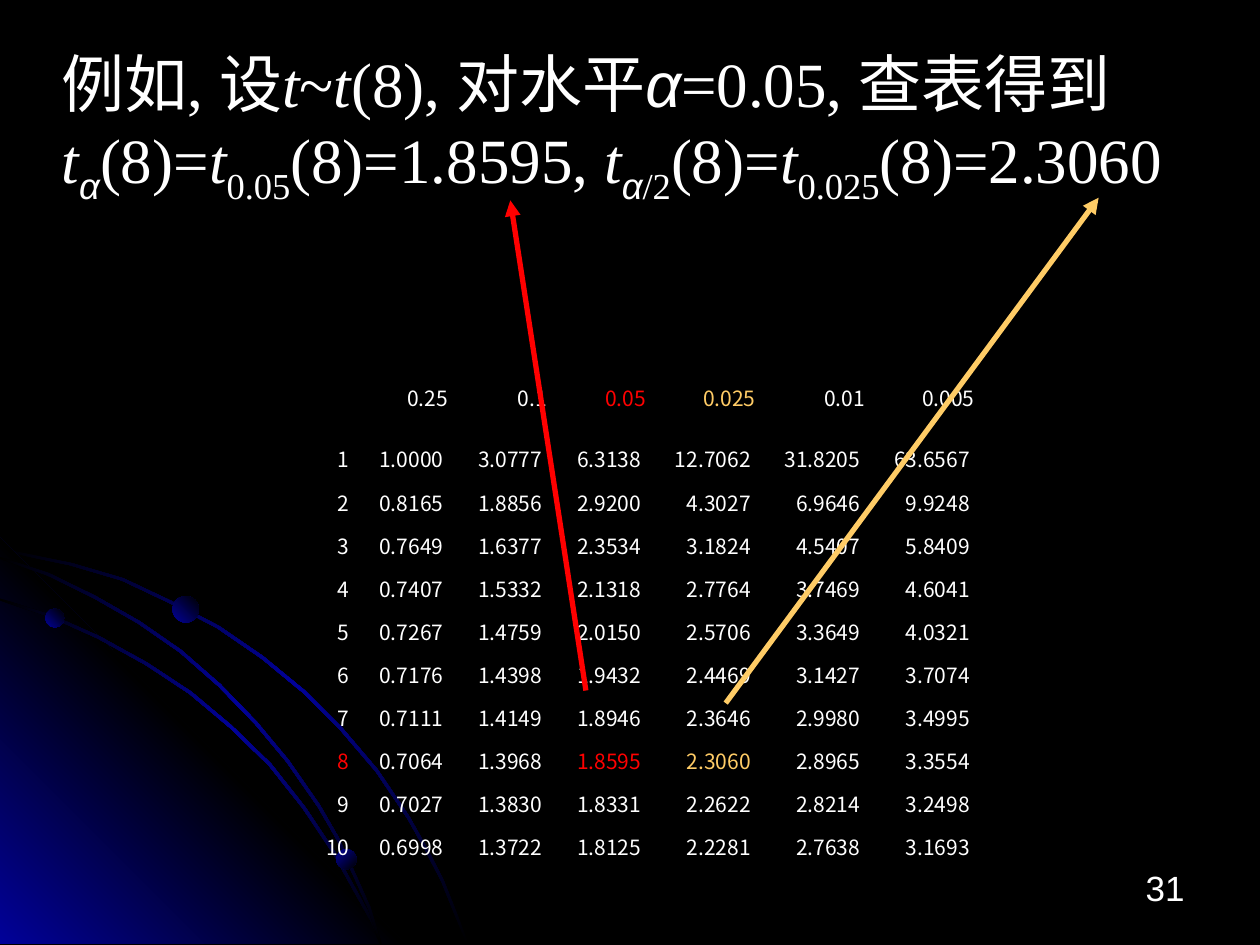
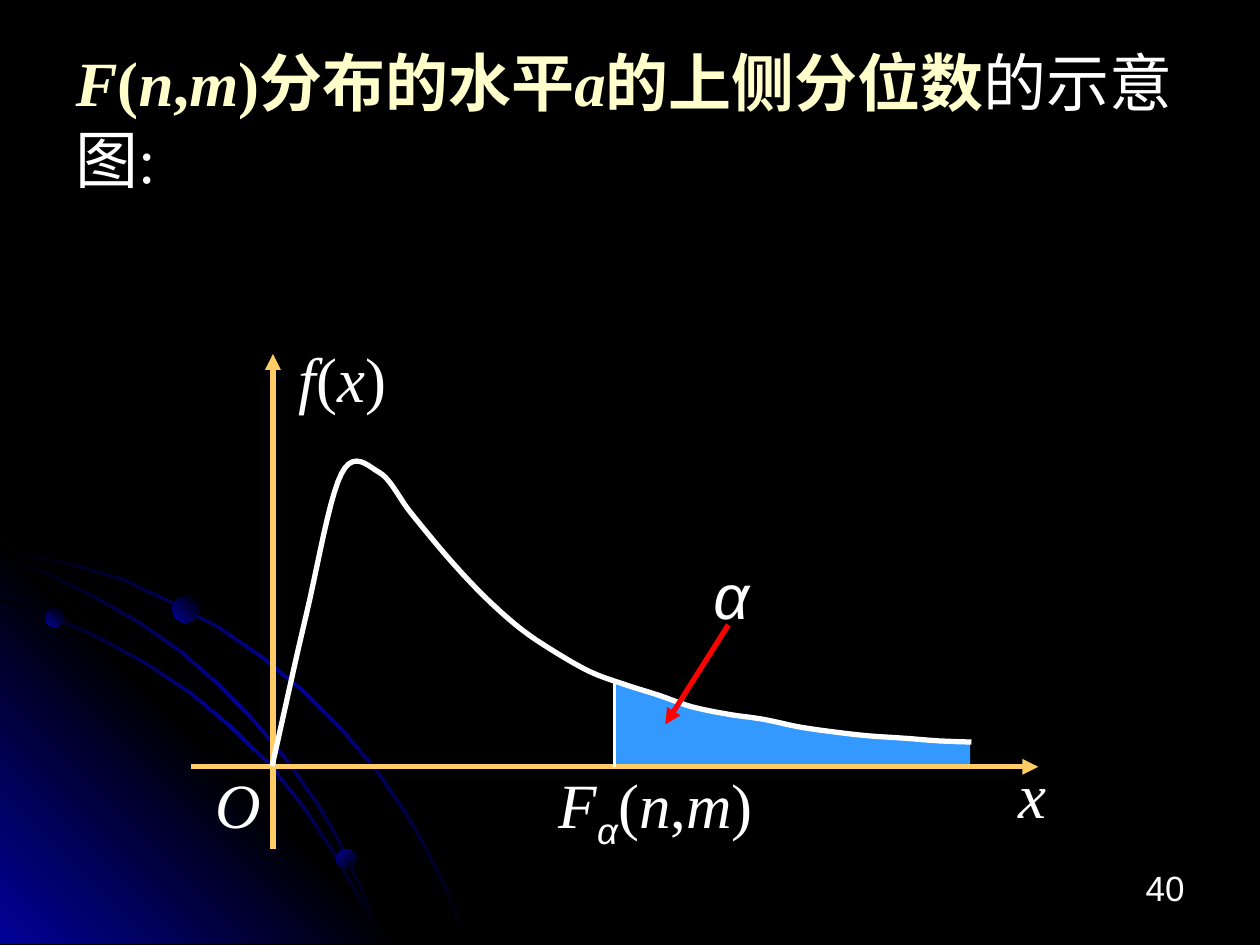
from lxml import etree
from pptx import Presentation
from pptx.dml.color import RGBColor
from pptx.enum.shapes import MSO_CONNECTOR, MSO_SHAPE
from pptx.enum.text import MSO_ANCHOR, PP_ALIGN
from pptx.oxml.ns import qn
from pptx.util import Pt

LEFT, CENTER, RIGHT = PP_ALIGN.LEFT, PP_ALIGN.CENTER, PP_ALIGN.RIGHT
TOP, MIDDLE = MSO_ANCHOR.TOP, MSO_ANCHOR.MIDDLE
STRAIGHT, OVAL = MSO_CONNECTOR.STRAIGHT, MSO_SHAPE.OVAL

SERIF, SANS, HAN = "Times New Roman", "Arial", "Noto Sans CJK SC"
BLACK, WHITE, NAVY, RED = "000000", "FFFFFF", "010199", "FF0000"
GOLD, CREAM, SKY = "FFCC66", "FFFFCC", "3399FF"
NO_STYLE_TABLE = "{2D5ABB26-0587-4C30-8999-92F81FD0307C}"

# Spans are (text, marks): i italic, b bold, s subscript, g Greek in sans, c cream
QUANTILE_TITLE = [
    ("例如, 设", ""), ("t", "i"), ("~", ""), ("t", "i"), ("(8), 对水平", ""),
    ("α", "ig"), ("=0.05, 查表得到", ""), ("\n", ""),
    ("t", "i"), ("α", "igs"), ("(8)=", ""), ("t", "i"), ("0.05", "s"),
    ("(8)=1.8595, ", ""), ("t", "i"), ("α", "igs"), ("/2", "s"), ("(8)=", ""),
    ("t", "i"), ("0.025", "s"), ("(8)=2.3060", ""),
]
DENSITY_TITLE = [
    ("F", "bic"), ("(", "bc"), ("n", "bic"), (",", "bc"), ("m", "bic"),
    (")分布的水平", "bc"), ("a", "bic"), ("的上侧分位数", "bc"), ("的示意图:", ""),
]

# Table of t quantiles
LEVELS = ["0.25", "0.1", "0.05", "0.025", "0.01", "0.005"]
QUANTILES = [
    ["1.0000", "3.0777", "6.3138", "12.7062", "31.8205", "63.6567"],
    ["0.8165", "1.8856", "2.9200", "4.3027", "6.9646", "9.9248"],
    ["0.7649", "1.6377", "2.3534", "3.1824", "4.5407", "5.8409"],
    ["0.7407", "1.5332", "2.1318", "2.7764", "3.7469", "4.6041"],
    ["0.7267", "1.4759", "2.0150", "2.5706", "3.3649", "4.0321"],
    ["0.7176", "1.4398", "1.9432", "2.4469", "3.1427", "3.7074"],
    ["0.7111", "1.4149", "1.8946", "2.3646", "2.9980", "3.4995"],
    ["0.7064", "1.3968", "1.8595", "2.3060", "2.8965", "3.3554"],
    ["0.7027", "1.3830", "1.8331", "2.2622", "2.8214", "3.2498"],
    ["0.6998", "1.3722", "1.8125", "2.2281", "2.7638", "3.1693"],
]
COLUMN_WIDTHS = [54.2] + [56.5] * 3 + [62.6] * 3
HEADER_HEIGHT, ROW_HEIGHT = 45.4, 24.65
MARKED_CELLS = {(0, 3): RED, (8, 0): RED, (8, 3): RED, (0, 4): GOLD, (8, 4): GOLD}

# Density plot: labels are (spans, left, top, width)
LABELS = [
    ([("O", "i")], 99.4, 434.2, 73.4),
    ([("x", "i")], 564.2, 428.4, 51.1),
    ([("f", "i"), ("(", ""), ("x", "i"), (")", "")], 144.7, 190.8, 102.2),
    ([("F", "i"), ("α", "igs"), ("(", ""), ("n", "i"), (",", ""), ("m", "i"),
      (")", "")], 303.4, 434.2, 142.6),
    ([("α", "ig")], 390.2, 314.6, 55.4),
]
DENSITY_POINTS = [
    (155.5, 437.8), (175, 351.4), (195.1, 270.7), (216.7, 270), (234.7, 293),
    (256.3, 319), (276.5, 340.6), (296.6, 358.6), (315.4, 371.5), (337, 383.8),
    (356.4, 391), (376.6, 397.4), (395.3, 403.9), (416.2, 408.2), (436.3, 411.1),
    (456.5, 415.4), (476.6, 418.3), (496.1, 420.5), (517, 421.9), (536.4, 423.4),
    (555.1, 424.1),
]
AXIS_Y, AXIS_X, CUT_X = 438.2, 156, 351.1
TAIL_AREA = [
    (CUT_X, 389.5), (CUT_X, AXIS_Y), (554.4, AXIS_Y), (554.4, 424.8),
    (511.9, 421.9), (465.8, 416.9), (409, 406.8), (370.8, 396.7),
]

# Backdrop: upper edges of the orbits, and dots as (left, top, size, angle)
FLOOR, ORBIT_WIDTH = 539.3, 1.2
OUTER_ORBIT = [
    (0, 313.2), (20.2, 317.5), (41, 321.8), (70.6, 330.5), (97.9, 343.4),
    (125.3, 357.8), (150.5, 375.1), (174.2, 394.6), (195.8, 416.2), (216, 439.9),
    (234, 466.6), (244.1, 484.6), (253.4, 502.6), (260.6, 520.6), (267.8, FLOOR),
]
INNER_ORBIT = [
    (0, 342), (29.5, 351.4), (56.9, 363.6), (84.2, 378.7), (109.4, 395.3),
    (132.5, 414.7), (154.8, 436.3), (174.2, 460.8), (191.5, 486.7),
    (205.9, 512.6), (213.1, 525.6), (218.2, FLOOR),
]
MIDDLE_ORBIT = [
    (0, 318.2), (28.1, 327.6), (54.7, 340.6), (79.9, 355), (103.7, 371.5),
    (126, 391), (146.9, 412.6), (164.9, 434.2), (182.9, 460.1), (193.7, 478.8),
    (203, 499), (211.7, 518.4), (218.2, FLOOR),
]
GLOW = [(0, 307.4), (231.8, FLOOR), (0, FLOOR)]
DOTS = [(25.9, 347.8, 10.8, 315), (192.2, 485.3, 11.5, 45), (98.6, 340.6, 15.1, 315)]


def color(value):
    return RGBColor.from_string(value)


def write_spans(para, spans, size=36, font=SERIF, ink=WHITE, align=LEFT, spacing=None):
    para.alignment = align
    if spacing:
        para.line_spacing = Pt(spacing)
    for text, marks in spans:
        if text == "\n":
            para.add_line_break()
            continue
        span = para.add_run()
        span.text = text
        face = span.font
        face.size = Pt(size)
        face.name = SANS if "g" in marks else font
        face.bold, face.italic = "b" in marks, "i" in marks
        face.color.rgb = color(CREAM if "c" in marks else ink)
        properties = span._r.get_or_add_rPr()
        etree.SubElement(properties, qn("a:ea")).set("typeface", HAN)
        if "s" in marks:
            properties.set("baseline", "-25000")


def add_text(page, spans, left, top, width, height, inset=3.4, **text_format):
    box = page.shapes.add_textbox(Pt(left), Pt(top), Pt(width), Pt(height))
    frame = box.text_frame
    frame.word_wrap = True
    frame.vertical_anchor = TOP
    frame.margin_top = Pt(inset)
    write_spans(frame.paragraphs[0], spans, **text_format)


def add_outline(page, points, closed=True):
    corners = [(Pt(x), Pt(y)) for x, y in points]
    builder = page.shapes.build_freeform(*corners[0], scale=1.0)
    builder.add_line_segments(corners[1:], close=closed)
    shape = builder.convert_to_shape()
    shape.shadow.inherit = False
    return shape


def fill_gradient(shape, stops, angle):
    shape.line.fill.background()
    shape.fill.gradient()
    shape.fill.gradient_angle = 360 - angle
    stop_list = shape._element.spPr.find(".//" + qn("a:gsLst"))
    for stop in list(stop_list):
        stop_list.remove(stop)
    for index, value in enumerate(stops):
        stop = etree.SubElement(stop_list, qn("a:gs"))
        stop.set("pos", str(100000 * index // (len(stops) - 1)))
        etree.SubElement(stop, qn("a:srgbClr")).set("val", value)


def add_line(page, start, end, ink, width=3, arrow=True):
    line = page.shapes.add_connector(STRAIGHT, *[Pt(v) for v in start + end])
    line.line.color.rgb = color(ink)
    line.line.width = Pt(width)
    properties = line._element.spPr
    if arrow:
        tail = etree.SubElement(properties.find(qn("a:ln")), qn("a:tailEnd"))
        tail.set("type", "triangle")
    etree.SubElement(properties, qn("a:effectLst"))


def add_orbit(page, edge):
    lower = [(max(0, x - ORBIT_WIDTH), min(FLOOR, y + ORBIT_WIDTH)) for x, y in edge]
    fill_gradient(add_outline(page, edge + lower[::-1]), [BLACK, NAVY, BLACK], 45)


def add_page(deck, number):
    page = deck.slides.add_slide(deck.slide_layouts[6])
    page.background.fill.solid()
    page.background.fill.fore_color.rgb = color(BLACK)
    add_orbit(page, OUTER_ORBIT)
    fill_gradient(add_outline(page, GLOW), [NAVY, BLACK, NAVY], 315)
    add_orbit(page, INNER_ORBIT)
    add_orbit(page, MIDDLE_ORBIT)
    for left, top, size, angle in DOTS:
        dot = page.shapes.add_shape(OVAL, Pt(left), Pt(top), Pt(size), Pt(size))
        dot.shadow.inherit = False
        fill_gradient(dot, [NAVY, BLACK], angle)
    add_text(page, [(str(number), "")], 516.2, 491.8, 167.8, 36,
             size=20, font=SANS, align=RIGHT)
    return page


def add_quantile_table(page):
    rows = [[""] + LEVELS]
    for degree, values in enumerate(QUANTILES, 1):
        rows.append([str(degree)] + [value + " " for value in values])
    heights = [HEADER_HEIGHT] + [ROW_HEIGHT] * len(QUANTILES)
    frame = page.shapes.add_table(len(rows), len(COLUMN_WIDTHS), Pt(152.6), Pt(204.5),
                                  Pt(sum(COLUMN_WIDTHS)), Pt(sum(heights)))
    table = frame.table
    table.first_row = table.horz_banding = False
    table._tbl.tblPr.find(qn("a:tableStyleId")).text = NO_STYLE_TABLE
    for column, width in zip(table.columns, COLUMN_WIDTHS):
        column.width = Pt(width)
    for r, row in enumerate(rows):
        table.rows[r].height = Pt(heights[r])
        for c, text in enumerate(row):
            cell = table.cell(r, c)
            cell.fill.background()
            cell.vertical_anchor = MIDDLE
            if text:
                write_spans(cell.text_frame.paragraphs[0], [(text, "")], size=12,
                            font=HAN, align=RIGHT, ink=MARKED_CELLS.get((r, c), WHITE))


def smooth_curve(points, steps=10):
    """Catmull-Rom spline through the points, with straight-on ends."""
    def mirror(end, neighbour):
        return tuple(2 * e - n for e, n in zip(end, neighbour))

    padded = [mirror(*points[:2])] + points + [mirror(points[-1], points[-2])]
    curve = [points[0]]
    for a, b, c, d in zip(padded, padded[1:], padded[2:], padded[3:]):
        for step in range(1, steps + 1):
            t = step / steps
            curve.append(tuple(
                q + t * (r - p) / 2 + t**2 * (2 * p - 5 * q + 4 * r - s) / 2
                + t**3 * (3 * q - p - 3 * r + s) / 2
                for p, q, r, s in zip(a, b, c, d)))
    return curve


def build_quantile_page(deck):
    page = add_page(deck, 31)
    add_text(page, QUANTILE_TITLE, 28.2, 19, 672.5, 115.2, inset=0, spacing=49.5)
    add_quantile_table(page)
    add_line(page, (334.8, 394.6), (291.6, 114.5), RED)
    add_line(page, (414.7, 401.8), (627.8, 113), GOLD)


def build_density_page(deck):
    page = add_page(deck, 40)
    area = add_outline(page, TAIL_AREA)
    area.fill.solid()
    area.fill.fore_color.rgb = color(SKY)
    area.line.fill.background()
    # Axes and density
    add_line(page, (109.4, AXIS_Y), (593.3, AXIS_Y), GOLD)
    add_line(page, (AXIS_X, 485.3), (AXIS_X, 202.3), GOLD)
    density = add_outline(page, smooth_curve(DENSITY_POINTS), closed=False)
    density.fill.background()
    density.line.color.rgb = color(WHITE)
    density.line.width = Pt(3)
    # Quantile mark and labels
    add_line(page, (CUT_X, AXIS_Y), (CUT_X, 388.8), WHITE, width=1.5, arrow=False)
    add_line(page, (416.2, 357.1), (380.2, 414), RED)
    for spans, left, top, width in LABELS:
        add_text(page, spans, left, top, width, 50.4, align=CENTER)
    add_text(page, DENSITY_TITLE, 36.2, 21.6, 648, 127.4, inset=2.7, spacing=44)


def main():
    deck = Presentation()
    deck.slide_width, deck.slide_height = Pt(720), Pt(540)
    build_quantile_page(deck)
    build_density_page(deck)
    deck.save("out.pptx")


if __name__ == "__main__":
    main()
